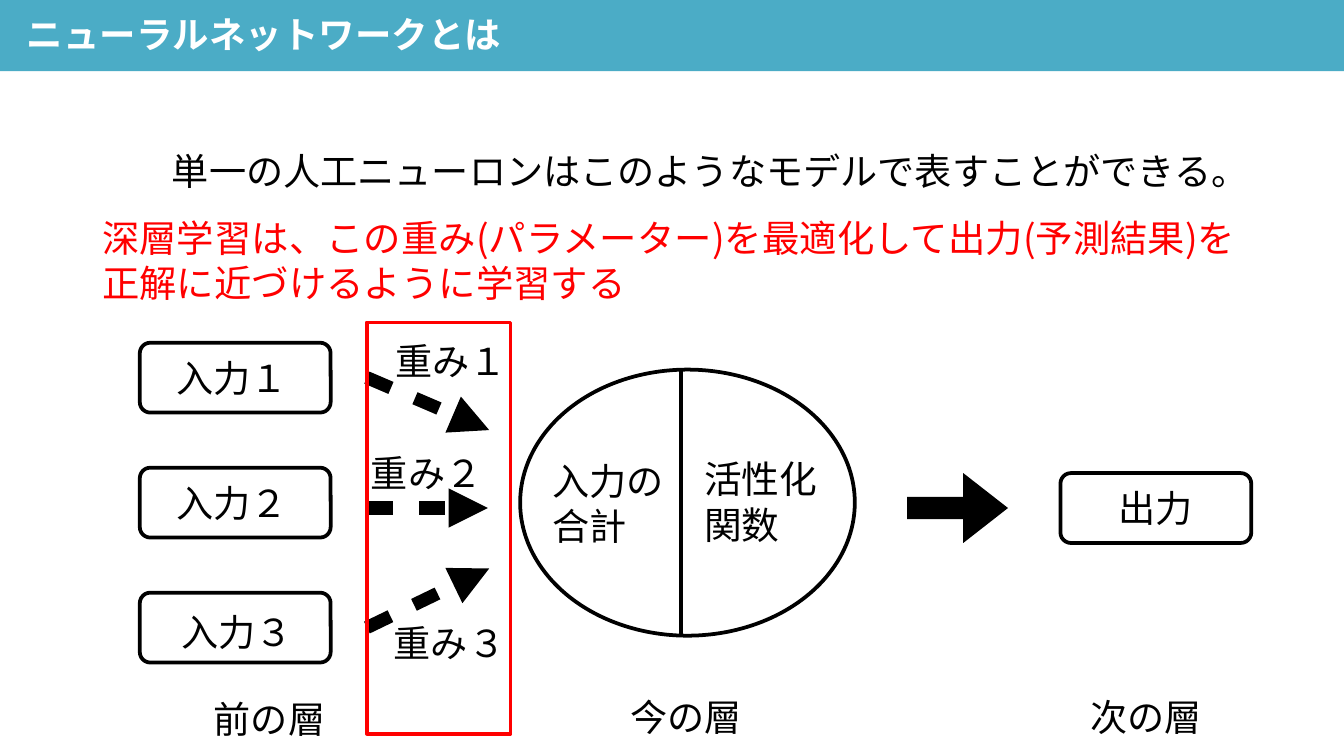
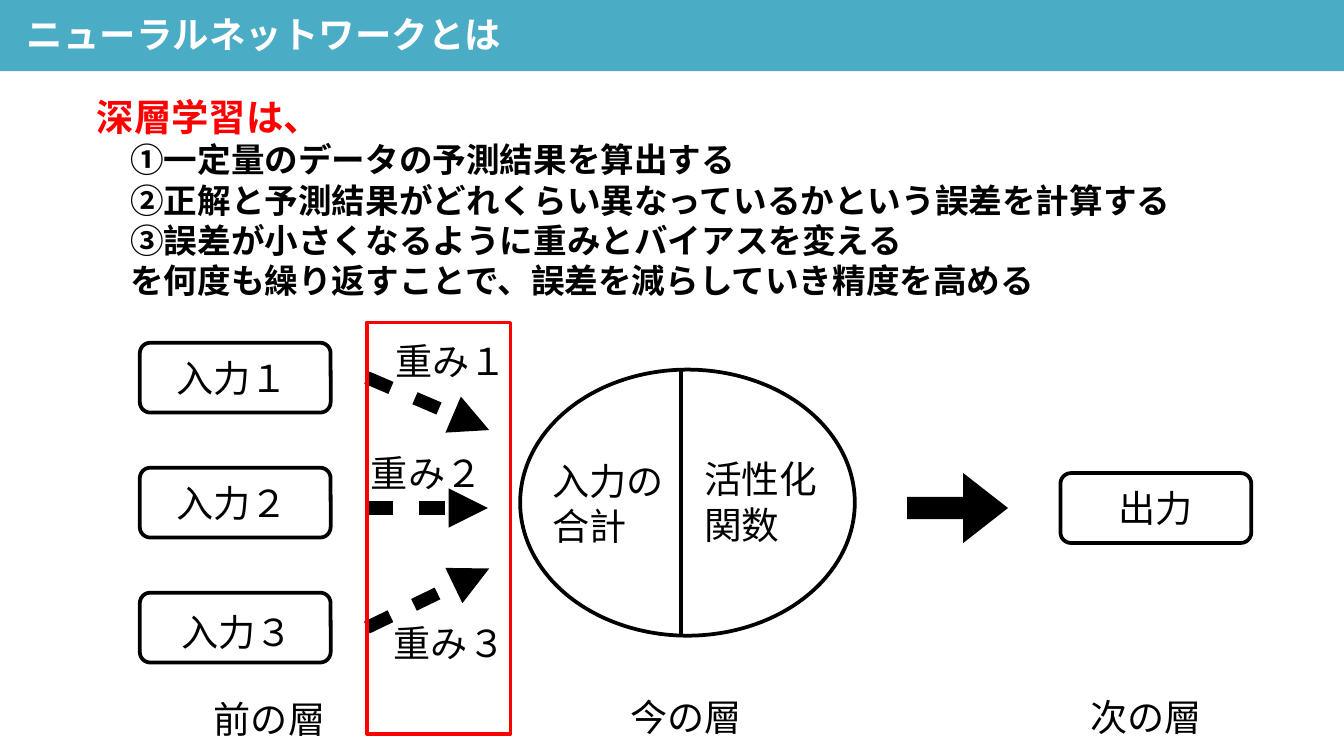
from lxml import etree
from pptx import Presentation
from pptx.dml.color import RGBColor
from pptx.enum.shapes import MSO_CONNECTOR, MSO_SHAPE
from pptx.enum.text import MSO_ANCHOR, MSO_AUTO_SIZE, PP_ALIGN
from pptx.oxml.ns import qn
from pptx.util import Pt

EMU_PER_PX = 9144  # 100 px to the inch
TITLE_ONLY = 5
STRAIGHT = MSO_CONNECTOR.STRAIGHT
RECTANGLE = MSO_SHAPE.RECTANGLE
ROUNDED = MSO_SHAPE.ROUNDED_RECTANGLE
ELLIPSE = MSO_SHAPE.OVAL
RIGHT_ARROW = MSO_SHAPE.RIGHT_ARROW
MIDDLE = MSO_ANCHOR.MIDDLE
LEFT = PP_ALIGN.LEFT
JUSTIFY = PP_ALIGN.JUSTIFY
FIT_SHAPE = MSO_AUTO_SIZE.SHAPE_TO_FIT_TEXT
NO_FIT = MSO_AUTO_SIZE.NONE

COLORS = {"ink": "000000", "band": "4BACC6", "paper": "FFFFFF", "accent": "FF0000"}
JAPANESE = "Noto Sans CJK JP"
LATIN = "Arial"
LABEL_SIZE = 19.9
LINE_PITCH = 1.2
TITLE = "ニューラルネットワークとは"


def px(length):
    return length * EMU_PER_PX


def rgb(name):
    return RGBColor.from_string(COLORS[name])


class Painter:
    def __init__(self, deck):
        self.deck = deck
        self.page = None

    def new_page(self, title):
        self.page = self.deck.slides.add_slide(self.deck.slide_layouts[TITLE_ONLY])
        band = self.page.shapes.title
        band.left, band.top, band.width, band.height = map(px, (0, -2, 1000, 55))
        band.fill.solid()
        band.fill.fore_color.rgb = rgb("band")
        self.frame_style(band.text_frame, (20, 8, 2, 8), True, NO_FIT)
        para = band.text_frame.paragraphs[0]
        para.alignment = LEFT
        self.span(para, title, 19.5, "paper", bold=True)

    def frame_style(self, frame, insets, wrap, fit):
        frame.margin_left, frame.margin_top, frame.margin_right, frame.margin_bottom = map(px, insets)
        frame.word_wrap = wrap
        frame.auto_size = fit
        frame.vertical_anchor = MIDDLE

    def span(self, para, words, size=LABEL_SIZE, color="ink", bold=False, face=JAPANESE):
        span = para.add_run()
        span.text = words
        span.font.size = Pt(size)
        span.font.bold = bold
        span.font.color.rgb = rgb(color)
        span.font.name = face
        east_asian = etree.SubElement(span.font._element, qn("a:ea"))
        east_asian.set("typeface", JAPANESE)

    def text_box(self, left, top, width, height, inset=2, wrap=False):
        box = self.page.shapes.add_textbox(*map(px, (left, top, width, height)))
        self.frame_style(box.text_frame, [inset] * 4, wrap, FIT_SHAPE)
        return box.text_frame

    def next_para(self, frame, size=LABEL_SIZE, align=LEFT, indent=0):
        """Return the empty first paragraph, or add another one."""
        first = frame.paragraphs[0]
        para = frame.add_paragraph() if first.runs else first
        para.alignment = align
        para.line_spacing = Pt(size * LINE_PITCH)
        if indent:
            properties = para._p.get_or_add_pPr()
            properties.set("marL", str(px(indent)))
            properties.set("indent", "0")
        return para

    def label(self, left, top, lines, width=88, height=38, digit="", size=LABEL_SIZE):
        frame = self.text_box(left, top, width, height)
        for line in lines:
            para = self.next_para(frame, size)
            self.span(para, line, size)
        if digit:
            self.span(para, digit, size, face=LATIN)

    def shape(self, kind, left, top, width, height, line=None, fill=None, adjustments=()):
        shape = self.page.shapes.add_shape(kind, *map(px, (left, top, width, height)))
        shape.shadow.inherit = False
        for index, value in enumerate(adjustments):
            shape.adjustments[index] = value
        if fill:
            shape.fill.solid()
            shape.fill.fore_color.rgb = rgb(fill)
        else:
            shape.fill.background()
        if line:
            shape.line.color.rgb = rgb(line)
            shape.line.width = Pt(2)
        else:
            shape.line.fill.background()

    def node(self, left, top):
        self.shape(ROUNDED, left, top, 142, 52, line="ink", adjustments=[0.15])

    def line(self, start, end, width=2, dashed_arrow=False):
        line = self.page.shapes.add_connector(STRAIGHT, *map(px, (*start, *end)))
        line.line.color.rgb = rgb("ink")
        line.line.width = Pt(width)
        if dashed_arrow:
            stroke = line.line._get_or_add_ln()
            dashes = etree.SubElement(stroke, qn("a:custDash"))
            etree.SubElement(dashes, qn("a:ds"), d="200000", sp="200000")
            etree.SubElement(stroke, qn("a:tailEnd"), type="triangle")
        etree.SubElement(line._element.spPr, qn("a:effectLst"))


def draw_neuron(painter):
    for row in range(3):
        painter.node(104, 255 + 93 * row)
    painter.shape(ELLIPSE, 387, 275, 249, 198, line="ink")
    for start, end in (((273, 281), (364, 320)),
                       ((273, 378), (363, 378)),
                       ((273, 467), (364, 423))):
        painter.line(start, end, width=7, dashed_arrow=True)

    for words, places in (("入力", ((129, 262), (129, 355), (133, 451))),
                          ("重み", ((292, 249), (274, 333), (291, 459)))):
        for digit, (left, top) in zip("１２３", places):
            painter.label(left, top, [words], digit=digit)

    painter.label(409, 339, ["入力の", "合計"], height=71)
    painter.shape(RIGHT_ARROW, 675, 352, 75, 52, fill="ink", adjustments=[0.32, 0.64])
    painter.node(789, 352)
    painter.label(830, 359, ["出力"], width=60)
    painter.line((507, 474), (507, 274))
    painter.label(522, 337, ["活性化", "関数"], width=89, height=72, size=20.2)

    for left, top, layer in ((157, 516, "前の層"), (467, 514, "今の層"), (809, 514, "次の層")):
        painter.label(left, top, [layer])
    painter.shape(RECTANGLE, 273, 240, 107, 306, line="accent")


def model_page(painter):
    painter.new_page(TITLE)
    painter.label(126, 108, ["単一の人工ニューロンはこのようなモデルで表すことができる。"], width=813)
    frame = painter.text_box(70, 154, 882, 79, inset=6, wrap=True)
    painter.span(painter.next_para(frame, 20),
                 "深層学習は、この重み(パラメーター)を最適化して出力(予測結果)を正解に近づけるように学習する",
                 20, "accent")
    draw_neuron(painter)


def learning_page(painter):
    painter.new_page(TITLE)
    frame = painter.text_box(66, 64, 882, 166, inset=6, wrap=True)
    painter.span(painter.next_para(frame, 20), "深層学習は、", 20, "accent", bold=True)
    for step in ("①一定量のデータの予測結果を算出する",
                 "②正解と予測結果がどれくらい異なっているかという誤差を計算する",
                 "③誤差が小さくなるように重みとバイアスを変える",
                 "を何度も繰り返すことで、誤差を減らしていき精度を高める"):
        para = painter.next_para(frame, 18, JUSTIFY, indent=25)
        painter.span(para, step, 18, bold=True)
    draw_neuron(painter)


def main():
    deck = Presentation()
    deck.slide_width = px(1000)
    deck.slide_height = deck.slide_width * 9 // 16
    painter = Painter(deck)
    model_page(painter)
    learning_page(painter)
    deck.save("out.pptx")


if __name__ == "__main__":
    main()
